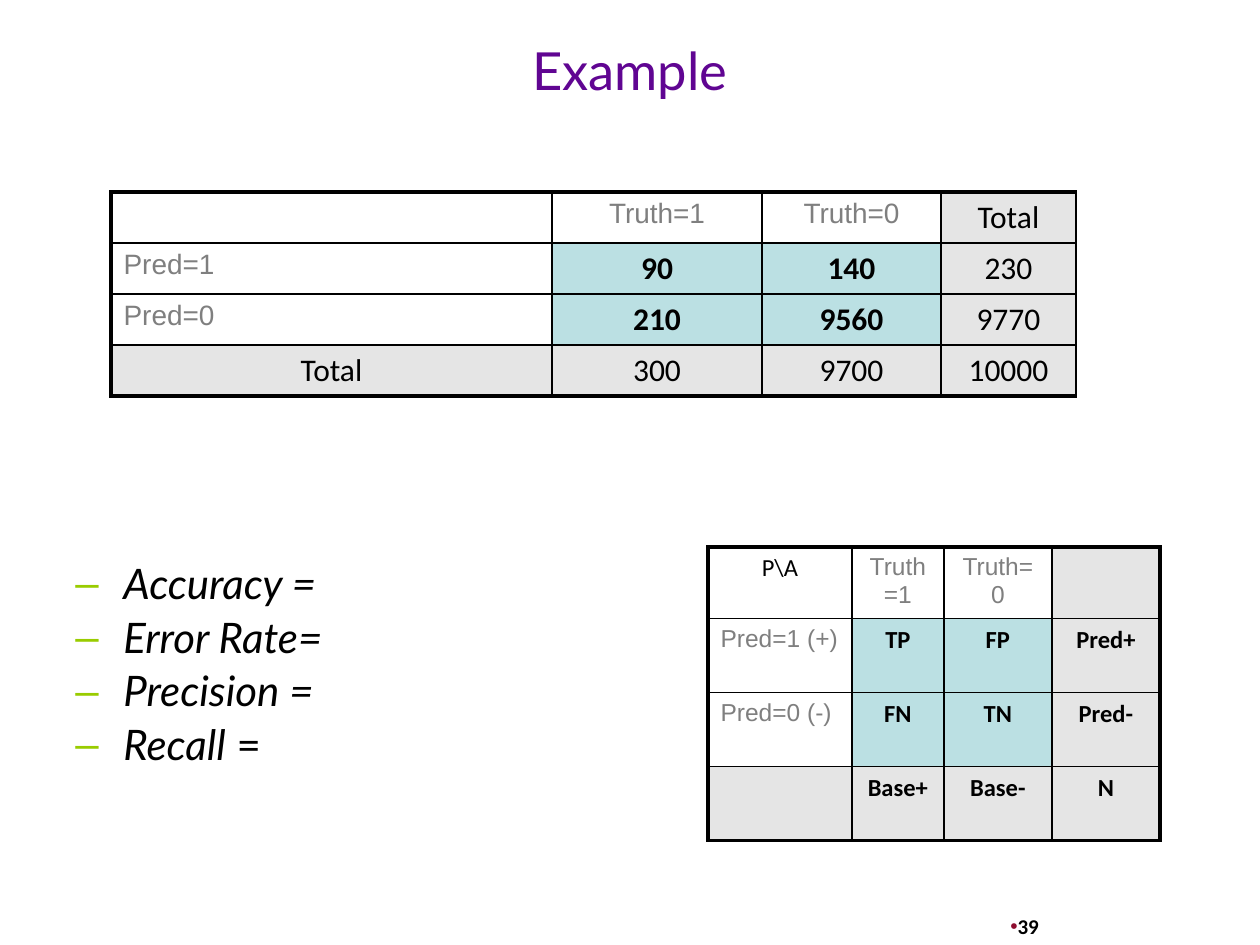
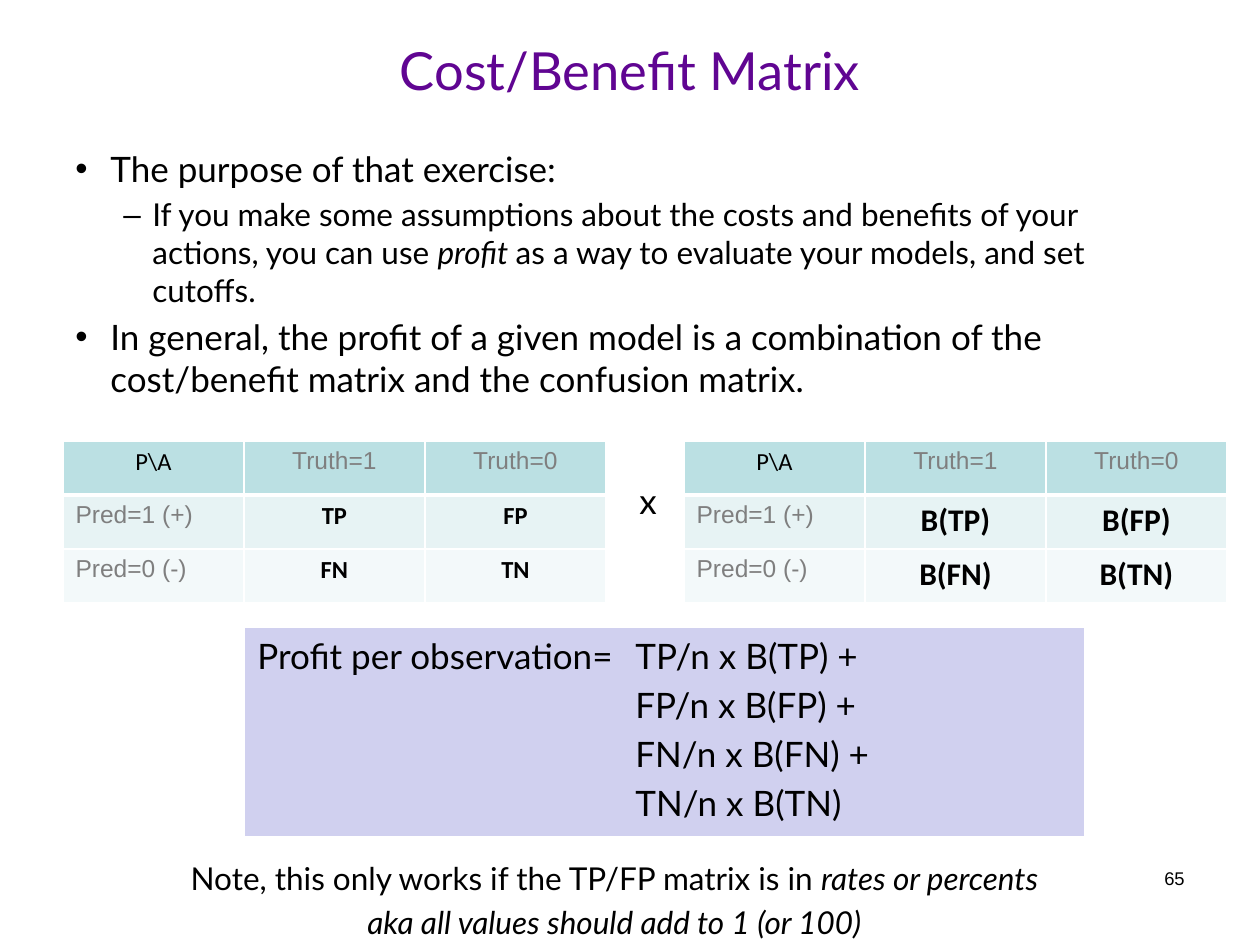
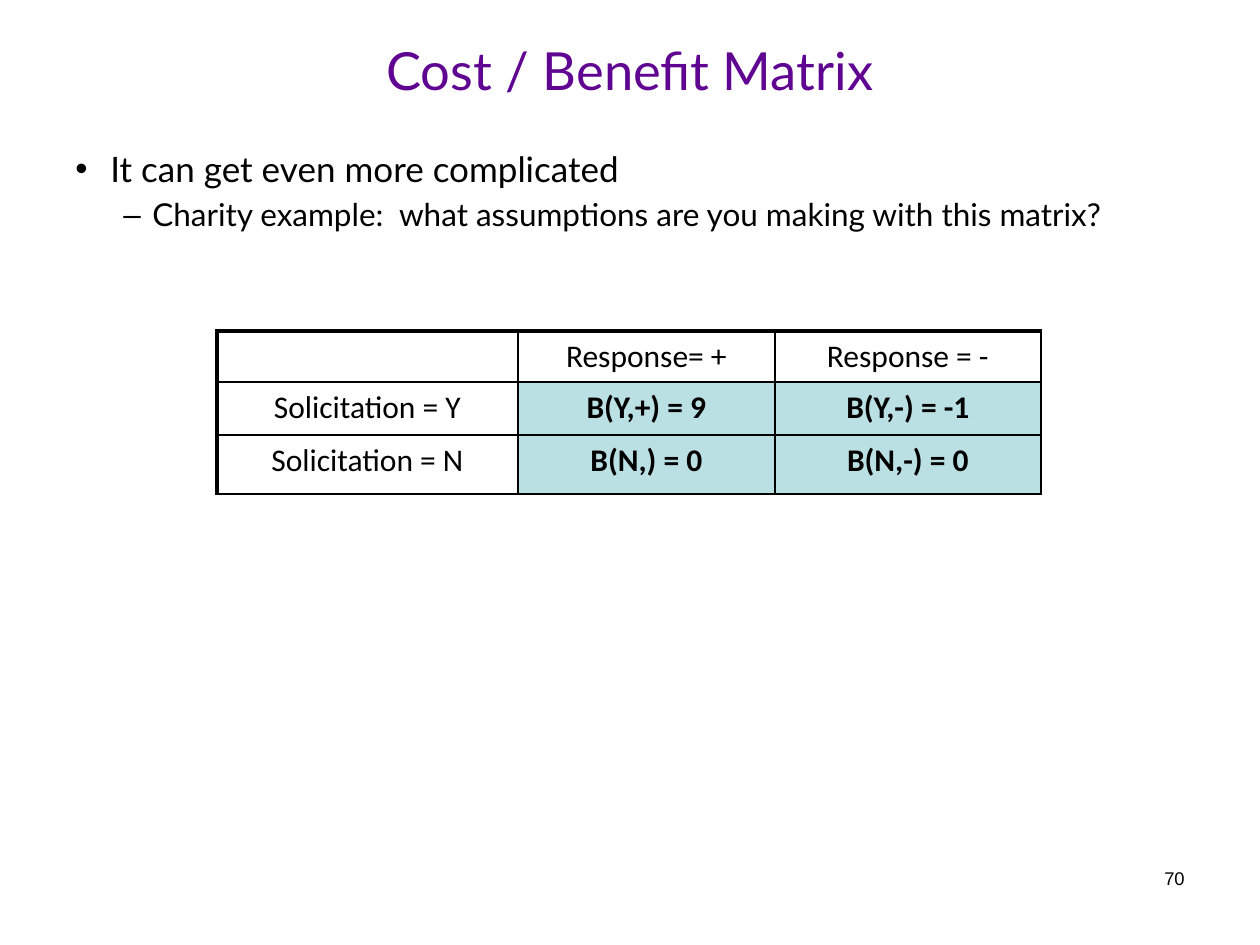
from lxml import etree
from pptx import Presentation
from pptx import util as u
from pptx.dml.color import RGBColor
from pptx.enum import shapes, text
from pptx.oxml import ns

PX = 914400 / 126  # EMU in one px
COLORS = {
    "title": "600592", "ink": "000000", "label": "7F7F7F", "white": "FFFFFF",
    "teal": "BBE0E3", "band1": "E7F3F4", "band2": "F3F9FA", "total": "E5E5E5",
    "formula": "D0D0EF", "dash": "99CC00", "dot": "8E0D30",
}
LEFT, CENTER, RIGHT = text.PP_ALIGN.LEFT, text.PP_ALIGN.CENTER, text.PP_ALIGN.RIGHT
TOP, MIDDLE, BOTTOM = text.MSO_ANCHOR.TOP, text.MSO_ANCHOR.MIDDLE, text.MSO_ANCHOR.BOTTOM

# Paragraph styles; whatever is missing falls back to Lato, black, left
TITLE = dict(size=30, color="title", align=CENTER)
NUMBER = dict(size=10.5, font="Arial", align=RIGHT)
DOT_NUMBER = dict(size=12, font="Calibri", bold=True, bullet="•", mark="dot", indent=(0, -10))
MAIN = dict(size=20, bullet="•", indent=(35, -35), before=4)
SUB = dict(size=18, bullet="–", indent=(77, -29), before=3.6)
MEASURE = dict(size=24, bullet="–", mark="dash", indent=(48, -48), before=4.8, spacing=0.9)
SIGN = dict(size=20)
FORMULA = dict(size=20, indent=(378, -378), before=4)
TERM = dict(size=20, indent=(378, 0), before=4)
NOTE = dict(size=18, align=CENTER, before=3.6)

# Cell kinds: text style and fill
CELLS = {
    "empty": (None, None),
    "corner": (dict(font="Calibri", align=CENTER), None),
    "head": (dict(font="Arial", color="label", align=CENTER), None),
    "side": (dict(font="Arial", color="label"), None),
    "value": (dict(font="Calibri", bold=True, align=CENTER), "teal"),
    "total": (dict(font="Calibri", align=CENTER), "total"),
    "sum": (dict(font="Calibri", bold=True, align=CENTER), "total"),
}


def write_text(frame, lines, anchor=TOP):
    """Write (style, runs) lines; each run is (words, italic)."""
    frame.word_wrap = True
    frame.vertical_anchor = anchor
    for index, (style, runs) in enumerate(lines):
        para = frame.add_paragraph() if index else frame.paragraphs[0]
        para.alignment = style.get("align", LEFT)
        props = para._p.get_or_add_pPr()
        if "indent" in style:
            margin, first = style["indent"]
            props.set("marL", str(round(margin * PX)))
            props.set("indent", str(round(first * PX)))
        if "bullet" in style:
            paint = etree.SubElement(props, ns.qn("a:buClr"))
            etree.SubElement(paint, ns.qn("a:srgbClr"), val=COLORS[style.get("mark", "ink")])
            etree.SubElement(props, ns.qn("a:buFont"), typeface="Arial")
            etree.SubElement(props, ns.qn("a:buChar"), char=style["bullet"])
        para.space_before = u.Pt(style.get("before", 0) if index else 0)
        if "spacing" in style:
            para.line_spacing = style["spacing"]
        for words, italic in runs:
            span = para.add_run()
            span.text = words
            span.font.size = u.Pt(style["size"])
            span.font.name = style.get("font", "Lato")
            span.font.bold = style.get("bold", False)
            span.font.italic = italic
            span.font.color.rgb = RGBColor.from_string(COLORS[style.get("color", "ink")])


def add_grid(page, left, top, widths, heights, rows, sizes, across, down, line="ink", bands=None):
    """Add a table; across and down are the widths of its ruled lines in points."""
    frame = page.shapes.add_table(
        len(heights), len(widths),
        *[round(n * PX) for n in (left, top, sum(widths), sum(heights))])
    table = frame.table
    for column, width in zip(table.columns, widths):
        column.width = round(width * PX)
    for row, height in zip(table.rows, heights):
        row.height = round(height * PX)
    for r, row in enumerate(rows):
        for c, (kind, words) in enumerate(row):
            cell = table.cell(r, c)
            style, fill = CELLS[kind]
            if words:
                size = sizes[kind not in ("corner", "head", "side")]
                write_text(cell.text_frame, [(dict(style, size=size), [(words, False)])])
            fill = bands[r] if bands else fill
            if fill:
                cell.fill.solid()
                cell.fill.fore_color.rgb = RGBColor.from_string(COLORS[fill])
            else:
                cell.fill.background()
            edges = (("L", down[c]), ("R", down[c + 1]), ("T", across[r]), ("B", across[r + 1]))
            for place, (side, points) in enumerate(edges):
                edge = etree.Element(ns.qn("a:ln" + side), w=str(u.Pt(points)))
                solid = etree.SubElement(edge, ns.qn("a:solidFill"))
                etree.SubElement(solid, ns.qn("a:srgbClr"), val=COLORS[line])
                cell._tc.get_or_add_tcPr().insert(place, edge)


deck = Presentation()
deck.slide_width, deck.slide_height = round(1260 * PX), round(945 * PX)

# Pages with their text boxes: place, lines, anchor
TITLE_AT = (63, 19, 1134, 101)
NUMBER_AT = (903, 861, 294, 66)
contents = [
    [
        (TITLE_AT, [(TITLE, [("Example", False)])], MIDDLE),
        ((63, 557, 560, 247), [
            (MEASURE, [("Accuracy =", True)]),
            (MEASURE, [("Error Rate=", True)]),
            (MEASURE, [("Precision =", True)]),
            (MEASURE, [("Recall", True), (" =", False)]),
        ], TOP),
        ((998, 892, 262, 53), [(DOT_NUMBER, [("39", False)])], BOTTOM),
    ],
    [
        (TITLE_AT, [(TITLE, [("Cost/Benefit Matrix", False)])], MIDDLE),
        ((63, 141, 1104, 290), [
            (MAIN, [("The purpose of that exercise:", False)]),
            (SUB, [
                ("If you make some assumptions about the costs and benefits of your "
                 "actions, you can use ", False),
                ("profit ", True),
                ("as a way to evaluate your models, and set cutoffs.", False),
            ]),
            (MAIN, [("In general, the profit of a given model is a combination of the "
                     "cost/benefit matrix and the confusion matrix.", False)]),
        ], TOP),
        (NUMBER_AT, [(NUMBER, [("65", False)])], TOP),
        ((627, 473, 50, 55), [(SIGN, [("x", False)])], TOP),
        ((161, 853, 907, 92), [
            (NOTE, [("Note, this only works if the TP/FP matrix is in ", False),
                    ("rates or percents", True)]),
            (NOTE, [("aka all values should add to 1 (or 100)", True)]),
        ], TOP),
    ],
    [
        (TITLE_AT, [(TITLE, [("Cost / Benefit Matrix", False)])], MIDDLE),
        ((63, 141, 1134, 160), [
            (MAIN, [("It can get even more complicated", False)]),
            (SUB, [("Charity example:  what assumptions are you making with this matrix?",
                    False)]),
        ], TOP),
        (NUMBER_AT, [(NUMBER, [("70", False)])], TOP),
    ],
]
pages = []
for boxes in contents:
    page = deck.slides.add_slide(deck.slide_layouts[6])
    pages.append(page)
    for place, lines, anchor in boxes:
        box = page.shapes.add_textbox(*[round(n * PX) for n in place])
        write_text(box.text_frame, lines, anchor)
example, profit, charity = pages

# Example: counts and the key to the confusion matrix
add_grid(example, 111, 192, [441, 210, 179, 135], [51] * 4, [
    [("empty", ""), ("head", "Truth=1"), ("head", "Truth=0"), ("total", "Total")],
    [("side", "Pred=1"), ("value", "90"), ("value", "140"), ("total", "230")],
    [("side", "Pred=0"), ("value", "210"), ("value", "9560"), ("total", "9770")],
    [("total", "Total"), ("total", "300"), ("total", "9700"), ("total", "10000")],
], (16, 18), across=[2.25, 1, 1, 1, 2.25], down=[2.25, 1, 1, 1, 1])
add_grid(example, 708, 547, [144, 92, 108, 108], [67, 74, 74, 74], [
    [("corner", "P\\A"), ("head", "Truth=1"), ("head", "Truth=0"), ("sum", "")],
    [("side", "Pred=1 (+)"), ("value", "TP"), ("value", "FP"), ("sum", "Pred+")],
    [("side", "Pred=0 (-)"), ("value", "FN"), ("value", "TN"), ("sum", "Pred-")],
    [("sum", ""), ("sum", "Base+"), ("sum", "Base-"), ("sum", "N")],
], (14, 14), across=[2.25, 1, 1, 1, 2.25], down=[2.25, 1, 1, 1, 2.25])

# Profit: confusion matrix times benefit matrix
for left, pattern, value_size in ((63, "{}", 14), (684, "B({})", 18)):
    rows = [[("corner", "P\\A"), ("head", "Truth=1"), ("head", "Truth=0")]]
    for side, outcomes in (("Pred=1 (+)", ("TP", "FP")), ("Pred=0 (-)", ("FN", "TN"))):
        rows.append([("side", side)] + [("value", pattern.format(name)) for name in outcomes])
    add_grid(profit, left, 441, [181] * 3, [54] * 3, rows, (14, value_size),
             across=[1, 3, 1, 1], down=[1] * 4, line="white",
             bands=["teal", "band1", "band2"])

# Profit: formula panel
panel = profit.shapes.add_shape(
    shapes.MSO_SHAPE.RECTANGLE, *[round(n * PX) for n in (245, 628, 839, 208)])
panel.shadow.inherit = False
panel.fill.solid()
panel.fill.fore_color.rgb = RGBColor.from_string(COLORS["formula"])
panel.line.fill.background()
write_text(panel.text_frame, [
    (FORMULA, [("Profit per observation=\tTP/n x B(TP) +", False)]),
    (TERM, [("FP/n x B(FP) +", False)]),
    (TERM, [("FN/n x B(FN) +", False)]),
    (TERM, [("TN/n x B(TN)", False)]),
])

# Charity: benefit of each outcome
add_grid(charity, 217, 331, [301, 257, 266], [51, 53, 59], [
    [("empty", ""), ("corner", "Response= +"), ("corner", "Response = -")],
    [("corner", "Solicitation = Y"), ("value", "B(Y,+) = 9"), ("value", "B(Y,-) = -1")],
    [("corner", "Solicitation = N"), ("value", "B(N,) = 0"), ("value", "B(N,-) = 0")],
], (18, 18), across=[2.25, 1, 1, 1], down=[2.25, 1, 1, 1])

deck.save("out.pptx")
